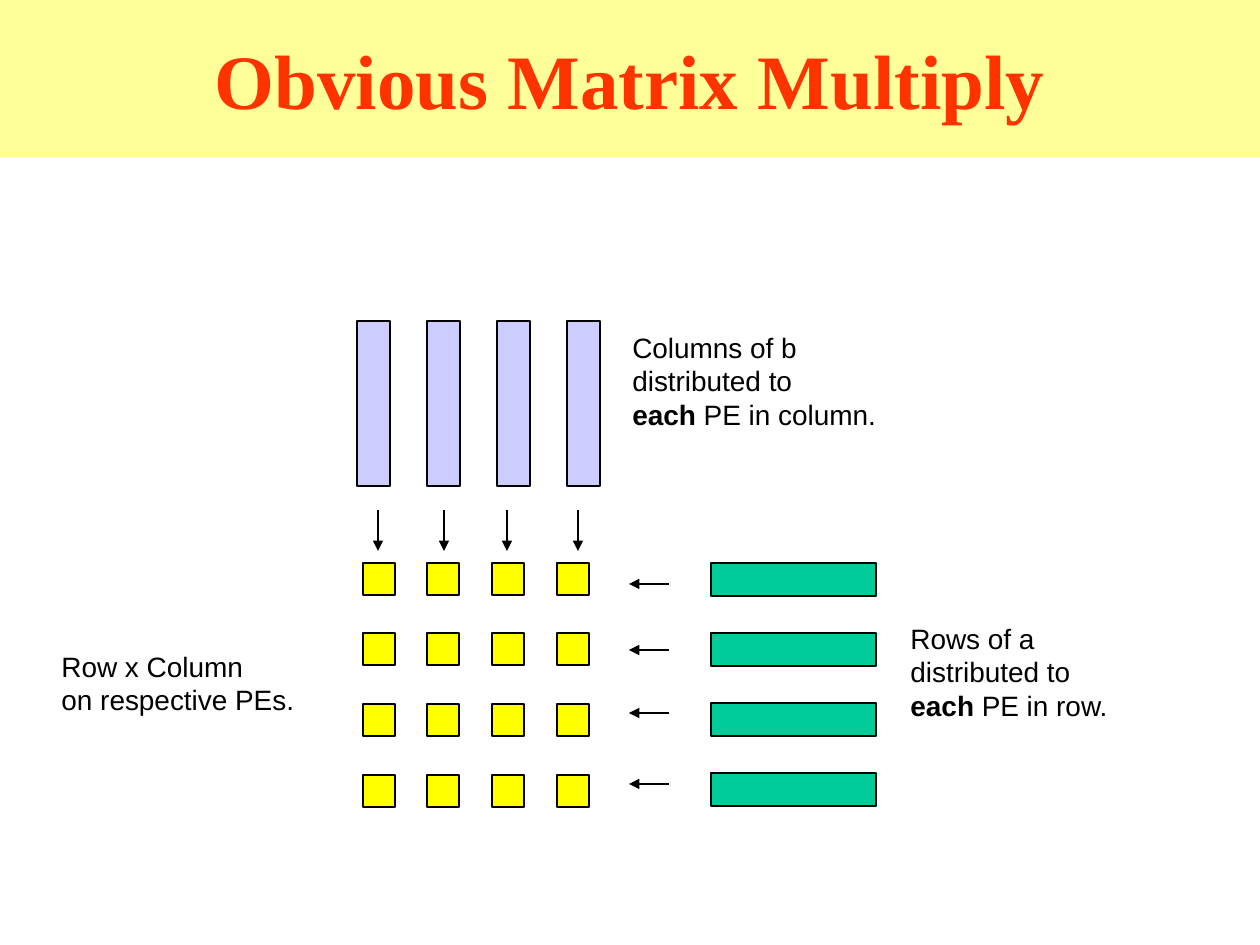
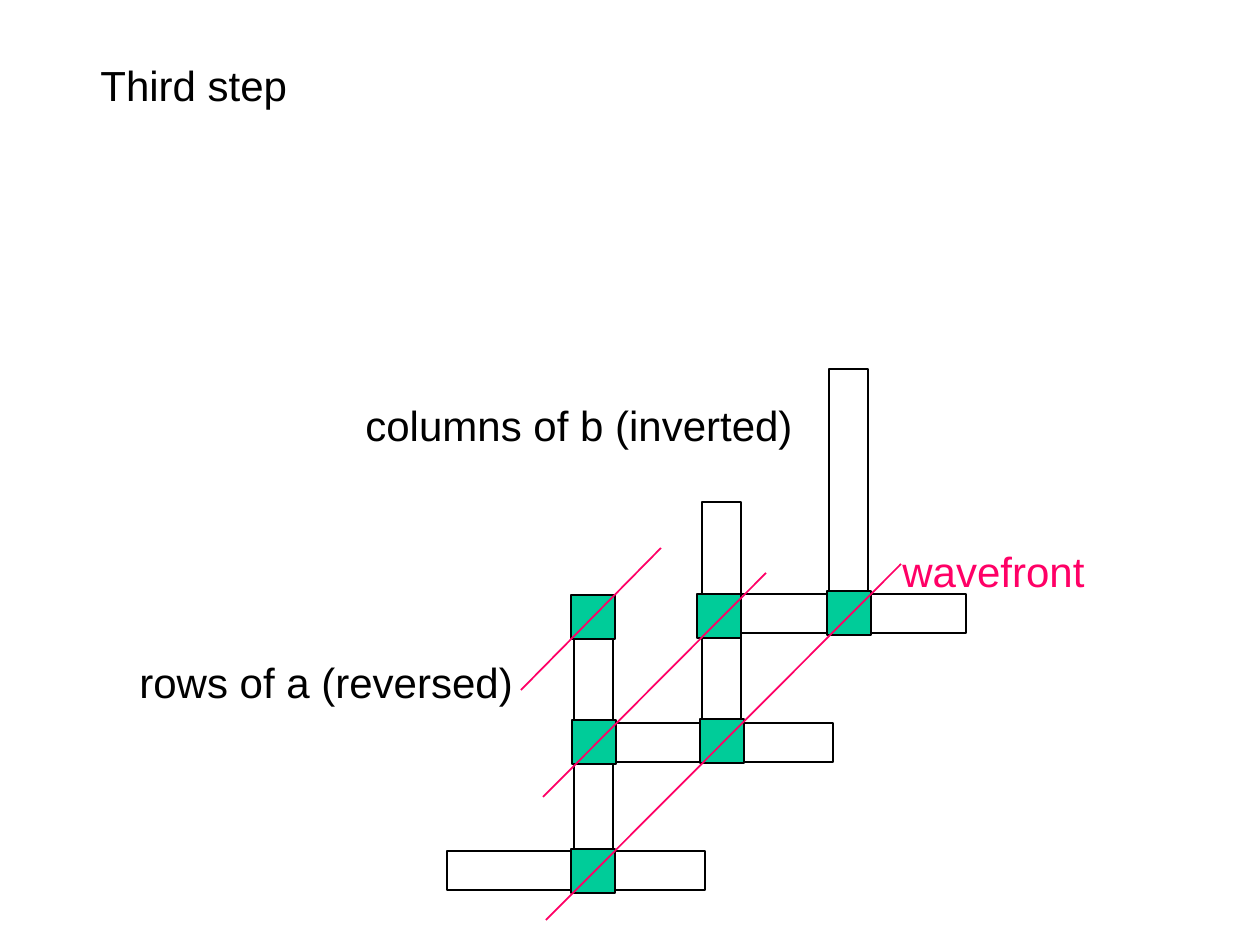
from itertools import product

from lxml import etree
from pptx import Presentation
from pptx.dml.color import RGBColor
from pptx.enum.shapes import MSO_CONNECTOR as CONN, MSO_SHAPE as SHAPE
from pptx.enum.text import MSO_ANCHOR as ANCHOR, MSO_AUTO_SIZE as AUTO, PP_ALIGN as ALIGN
from pptx.oxml.ns import qn
from pptx.util import Emu, Pt

# Shared look; 126 px make one inch
EMU_PER_PX = 914400 / 126
BLACK, GREEN, YELLOW, LILAC = "000000", "00CC99", "FFFF00", "CCCCFF"
BAND, TITLE, PINK = "FFFF99", "FF3300", "FF0066"


def px(n):
    return Emu(round(n * EMU_PER_PX))


def rgb(color):
    return RGBColor.from_string(color)


def set_font(font, name, size, color):
    font.name, font.size = name, Pt(size)
    font.color.rgb = rgb(color)


def add_box(s, x, y, w, h, fill=None, line=BLACK):
    sp = s.shapes.add_shape(SHAPE.RECTANGLE, px(x), px(y), px(w), px(h))
    sp.shadow.inherit = False
    if fill:
        sp.fill.solid()
        sp.fill.fore_color.rgb = rgb(fill)
    else:
        sp.fill.background()
    if line:
        sp.line.color.rgb = rgb(line)
        sp.line.width = Pt(1)
    else:
        sp.line.fill.background()
    return sp


def add_title(s, text):
    sp = add_box(s, 0, 0, 1260, 157, BAND, None)
    tf = sp.text_frame
    tf.text = text
    tf.vertical_anchor = ANCHOR.MIDDLE
    p = tf.paragraphs[0]
    p.alignment = ALIGN.CENTER
    r = p.runs[0]
    set_font(r.font, "Times New Roman", 44, TITLE)
    r.font.bold = True


def add_label(s, x, y, w, h, lines, size=24, color=BLACK, bold_start=""):
    """Write the lines, with bold_start in bold ahead of the last one."""
    tf = s.shapes.add_textbox(px(x), px(y), px(w), px(h)).text_frame
    tf.text = "\n".join(lines)
    tf.word_wrap = False
    tf.auto_size = AUTO.SHAPE_TO_FIT_TEXT
    if bold_start:
        p = tf.paragraphs[-1]
        p.text = bold_start
        p.runs[0].font.bold = True
        p.add_run().text = lines[-1]
    for p in tf.paragraphs:
        for r in p.runs:
            set_font(r.font, "Arial", size, color)


def add_line(s, x1, y1, x2, y2, color=BLACK, arrow=False):
    c = s.shapes.add_connector(CONN.STRAIGHT, px(x1), px(y1), px(x2), px(y2))
    c.line.color.rgb = rgb(color)
    c.line.width = Pt(1)
    if arrow:
        etree.SubElement(c.line._get_or_add_ln(), qn("a:tailEnd"), type="triangle")
    etree.SubElement(c._element.spPr, qn("a:effectLst"))


def build_multiply(s):
    add_title(s, "Obvious Matrix Multiply")

    # Processing elements
    for row, col in product(range(4), repeat=2):
        add_box(s, 363 + col * 194 // 3, 563 + row * 212 // 3, 32, 32, YELLOW)

    # Rows of a and columns of b
    for i in range(4):
        add_box(s, 711, 563 + 70 * i, 165, 33, GREEN)
        add_box(s, 357 + 70 * i, 321, 33, 165, LILAC)

    # Arrows into the grid
    for step in (0, 66, 129, 200):
        add_line(s, 378 + step, 510, 378 + step, 551, arrow=True)
        add_line(s, 669, 584 + step, 629, 584 + step, arrow=True)

    # Explanations
    add_label(s, 898, 615, 232, 113, ["Rows of a", "distributed to", " PE in row."],
              16, bold_start="each")
    add_label(s, 620, 324, 276, 113, ["Columns of b", "distributed to", " PE in column."],
              16, bold_start="each")
    add_label(s, 49, 643, 258, 81, ["Row x Column", "on respective PEs."], 16)


def build_third_step(s):
    # Rows of a, then columns of b
    for x, y in ((708, 594), (575, 723), (447, 851)):
        add_box(s, x, y, 258, 39)
    for x, y in ((829, 369), (702, 502), (574, 630)):
        add_box(s, x, y, 39, 258)

    # Active processing elements
    for x, y in ((571, 595), (697, 594), (572, 720), (827, 591), (700, 719), (571, 849)):
        add_box(s, x, y, 44, 44, GREEN)

    # Wavefronts
    for ends in ((521, 690, 661, 548), (543, 797, 766, 573), (546, 920, 901, 564)):
        add_line(s, *ends, color=PINK)

    # Labels
    add_label(s, 88, 53, 223, 63, ["Third step"])
    add_label(s, 353, 393, 464, 63, ["columns of b (inverted)"])
    add_label(s, 127, 650, 410, 63, ["rows of a (reversed)"])
    add_label(s, 890, 539, 207, 63, ["wavefront"], color=PINK)


def main():
    prs = Presentation()
    prs.slide_width, prs.slide_height = px(1260), px(945)
    for build in (build_multiply, build_third_step):
        build(prs.slides.add_slide(prs.slide_layouts[6]))
    prs.save("out.pptx")


if __name__ == "__main__":
    main()
